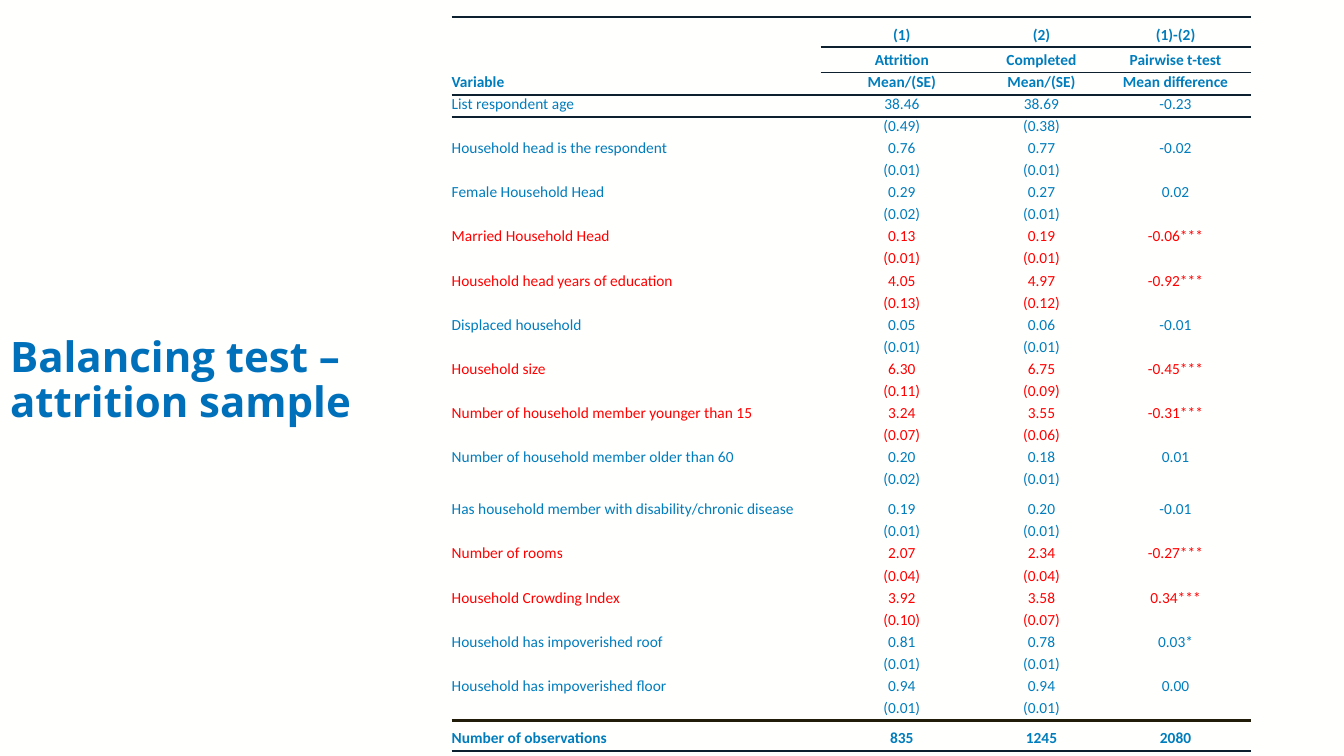
from pptx import Presentation
from pptx import util as u
from pptx.dml.color import RGBColor
from pptx.enum import text
from pptx.oxml import ns
from lxml import etree

BLUE = RGBColor(0x00, 0x7D, 0xBC)
TITLE_BLUE = RGBColor(0x00, 0x70, 0xBA)
RED = RGBColor(0xFF, 0x00, 0x00)
NAVY = RGBColor(0x0D, 0x20, 0x30)
BROWN = RGBColor(0x21, 0x1B, 0x09)
PAPER = RGBColor(0xFF, 0xFF, 0xFE)
NO_STYLE = "{2D5ABB26-0587-4C30-8999-92F81FD0307C}"

HEADER = [
    ("", "(1)", "(2)", "(1)-(2)"),
    ("", "Attrition", "Completed", "Pairwise t-test"),
    ("Variable", "Mean/(SE)", "Mean/(SE)", "Mean difference"),
]
VARIABLES = [
    ("List respondent age", "38.46", "38.69", "-0.23", "0.49", "0.38"),
    ("Household head is the respondent", "0.76", "0.77", "-0.02", "0.01", "0.01"),
    ("Female Household Head", "0.29", "0.27", "0.02", "0.02", "0.01"),
    ("Married Household Head", "0.13", "0.19", "-0.06***", "0.01", "0.01"),
    ("Household head years of education", "4.05", "4.97", "-0.92***", "0.13", "0.12"),
    ("Displaced household", "0.05", "0.06", "-0.01", "0.01", "0.01"),
    ("Household size", "6.30", "6.75", "-0.45***", "0.11", "0.09"),
    ("Number of household member younger than 15", "3.24", "3.55", "-0.31***", "0.07", "0.06"),
    ("Number of household member older than 60", "0.20", "0.18", "0.01", "0.02", "0.01"),
    ("Has household member with disability/chronic disease", "0.19", "0.20", "-0.01", "0.01", "0.01"),
    ("Number of rooms", "2.07", "2.34", "-0.27***", "0.04", "0.04"),
    ("Household Crowding Index", "3.92", "3.58", "0.34***", "0.10", "0.07"),
    ("Household has impoverished roof", "0.81", "0.78", "0.03*", "0.01", "0.01"),
    ("Household has impoverished floor", "0.94", "0.94", "0.00", "0.01", "0.01"),
]
TOTAL = ("Number of observations", "835", "1245", "2080")
COLUMN_WIDTHS = [3.66, 1.61, 1.16, 1.5]
ROW_HEIGHT = 0.17
TALL_ROWS = {0: 0.3, 1: 0.25, 2: 0.18, 21: 0.3, 30: 0.18, 31: 0.3}


class BalanceSlide:
    """Holds the slide and the table style, with one method per kind of element."""

    def __init__(self, presentation):
        self.font = "Calibri"
        self.size = u.Pt(11)
        self.slide = presentation.slides.add_slide(presentation.slide_layouts[5])
        fill = self.slide.background.fill
        fill.solid()
        fill.fore_color.rgb = PAPER

    def title(self, wording, left, top, width, height):
        title = self.slide.shapes.title
        title.left, title.top = u.Inches(left), u.Inches(top)
        title.width, title.height = u.Inches(width), u.Inches(height)
        frame = title.text_frame
        frame.text = wording
        frame.word_wrap = True
        frame.auto_size = text.MSO_AUTO_SIZE.NONE
        frame.vertical_anchor = text.MSO_ANCHOR.MIDDLE
        paragraph = frame.paragraphs[0]
        paragraph.alignment = text.PP_ALIGN.LEFT
        paragraph.line_spacing = 0.9
        self.format_run(paragraph.runs[0], "Open Sans", u.Pt(30), TITLE_BLUE, True)

    def format_run(self, run, font, size, color, bold):
        run.font.name, run.font.size, run.font.bold = font, size, bold
        run.font.color.rgb = color

    def table(self, rows, left, top, widths, heights):
        frame = self.slide.shapes.add_table(
            len(rows), len(widths), u.Inches(left), u.Inches(top),
            u.Inches(sum(widths)), u.Inches(sum(heights)))
        table = frame.table
        table.first_row = table.horz_banding = False
        next(frame.element.iter(ns.qn("a:tableStyleId"))).text = NO_STYLE
        for column, width in zip(table.columns, widths):
            column.width = u.Inches(width)
        for index, (row, height) in enumerate(zip(rows, heights)):
            table.rows[index].height = u.Inches(height)
            wording, color, bold = row
            for column, value in enumerate(wording):
                self.cell(table.cell(index, column), value, column, color, bold)
        return table

    def cell(self, cell, value, column, color, bold):
        cell.margin_left = cell.margin_right = cell.margin_top = 0
        cell.margin_bottom = u.Inches(0.03)
        cell.vertical_anchor = text.MSO_ANCHOR.BOTTOM
        cell.fill.background()
        paragraph = cell.text_frame.paragraphs[0]
        paragraph.alignment = text.PP_ALIGN.CENTER if column else text.PP_ALIGN.LEFT
        if value:
            paragraph.text = value
            self.format_run(paragraph.runs[0], self.font, self.size, color, bold)
        else:
            end = etree.SubElement(paragraph._p, ns.qn("a:endParaRPr"))
            end.set("sz", str(int(self.size.pt * 100)))

    def rule(self, table, row, side, color, points, first_column=0):
        for column in range(first_column, len(table.columns)):
            properties = table.cell(row, column)._tc.get_or_add_tcPr()
            line = etree.Element(ns.qn("a:ln" + side), w=str(u.Pt(points)))
            fill = etree.SubElement(line, ns.qn("a:solidFill"))
            etree.SubElement(fill, ns.qn("a:srgbClr"), val=str(color))
            properties.insert(len(properties.findall(ns.qn("a:lnT"))), line)


def table_rows():
    rows = [(wording, BLUE, True) for wording in HEADER]
    for name, attrition, completed, difference, *errors in VARIABLES:
        color = RED if difference.endswith("***") else BLUE
        rows.append(((name, attrition, completed, difference), color, False))
        rows.append((("", *(f"({error})" for error in errors), ""), color, False))
    return rows + [(TOTAL, BLUE, True)]


def main():
    presentation = Presentation()
    presentation.slide_width = u.Inches(13.33)
    presentation.slide_height = u.Inches(7.5)
    balance = BalanceSlide(presentation)
    rows = table_rows()
    heights = [TALL_ROWS.get(index, ROW_HEIGHT) for index in range(len(rows))]
    table = balance.table(rows, 4.48, 0.17, COLUMN_WIDTHS, heights)
    last = len(rows) - 1
    balance.rule(table, 0, "T", NAVY, 1.5)
    for upper, color, points, first_column in [
            (0, NAVY, 1.5, 1), (2, NAVY, 1.5, 0), (last - 1, BROWN, 2.25, 0)]:
        balance.rule(table, upper, "B", color, points, first_column)
        balance.rule(table, upper + 1, "T", color, points, first_column)
    balance.rule(table, last, "B", NAVY, 1.5)
    balance.title("Balancing test – attrition sample", 0, 2.8, 3.75, 1.97)
    presentation.save("out.pptx")


if __name__ == "__main__":
    main()
